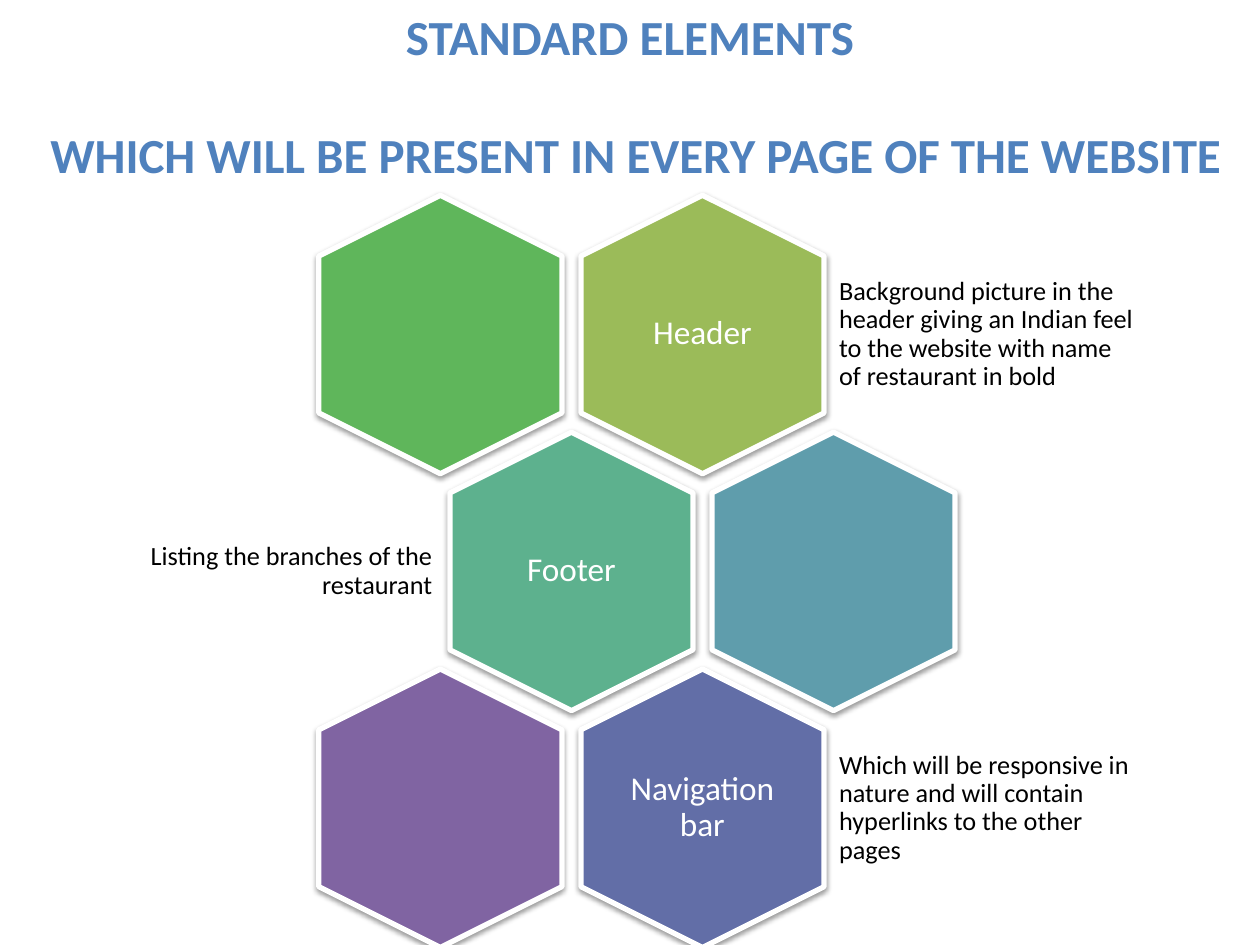
"""Build the slide on the standard elements of every website page."""
from lxml.etree import SubElement
from pptx import Presentation
from pptx.dml.color import RGBColor
from pptx.enum.shapes import MSO_SHAPE
from pptx.enum.text import MSO_ANCHOR, MSO_AUTO_SIZE, PP_ALIGN
from pptx.oxml.ns import qn
from pptx.util import Inches, Pt

COLORS = {
    "title": "4F81BD", "white": "FFFFFF", "black": "000000",
    "green": "5FB65B", "olive": "9BBB59", "teal": "5DB18E",
    "blue": "5F9DAC", "purple": "8064A2", "indigo": "626EA7",
}


def add_hexagon(x, y, color):
    s = slide.shapes.add_shape(MSO_SHAPE.HEXAGON, Inches(x), Inches(y), Inches(2.21), Inches(1.93))
    s.rotation = 90
    s.adjustments[0] = 0.25
    s.adjustments[1] = 1.1547
    s.fill.solid()
    s.fill.fore_color.rgb = RGBColor.from_string(COLORS[color])
    s.line.color.rgb = RGBColor.from_string(COLORS["white"])
    s.line.width = Pt(3)
    s.shadow.inherit = False
    effects = s._element.spPr.find(qn("a:effectLst"))
    shadow = SubElement(effects, qn("a:outerShdw"), blurRad=str(Pt(3.1)), dist=str(Pt(1.6)),
                        dir="5400000", rotWithShape="0")
    tint = SubElement(shadow, qn("a:srgbClr"), val=COLORS["black"])
    SubElement(tint, qn("a:alpha"), val="38000")


def add_text(text, x, y, w, h, inset, size, color, align):
    s = slide.shapes.add_textbox(Inches(x), Inches(y), Inches(w), Inches(h))
    tf = s.text_frame
    tf.word_wrap = True
    tf.vertical_anchor = MSO_ANCHOR.MIDDLE
    tf.margin_left = tf.margin_right = tf.margin_top = tf.margin_bottom = Inches(inset)
    p = tf.paragraphs[0]
    p.alignment = align
    p.line_spacing = 0.9
    r = p.add_run()
    r.text = text
    r.font.name = "Calibri"
    r.font.size = Pt(size)
    r.font.color.rgb = RGBColor.from_string(COLORS[color])


prs = Presentation()
prs.slide_width, prs.slide_height = Inches(10), Inches(7.5)
slide = prs.slides.add_slide(prs.slide_layouts[5])

title = slide.shapes.title
title.left, title.top, title.width, title.height = Inches(0), Inches(0), Inches(10), Inches(1.51)
tf = title.text_frame
tf.word_wrap = True
tf.auto_size = MSO_AUTO_SIZE.NONE
tf.vertical_anchor = MSO_ANCHOR.TOP
lines = ["STANDARD ELEMENTS", " WHICH WILL BE PRESENT IN EVERY PAGE OF THE WEBSITE"]
for i, line in enumerate(lines):
    p = tf.add_paragraph() if i else tf.paragraphs[0]
    p.alignment = PP_ALIGN.CENTER
    p.space_before = Pt(34 * i)
    r = p.add_run()
    r.text = line
    r.font.name = "Calibri"
    r.font.size = Pt(28)
    r.font.bold = True
    r.font.color.rgb = RGBColor.from_string(COLORS["title"])

rows = [
    ("Header", "olive", "green",
     "Background picture in the header giving an Indian feel to the website with name of restaurant in bold"),
    ("Footer", "teal", "blue", "Listing the branches of the restaurant"),
    ("Navigation bar", "indigo", "purple",
     "Which will be responsive in nature and will contain hyperlinks to the other pages"),
]
STEP_X, STEP_Y = 2.08, 1.88
for i, (label, color, accent, note) in enumerate(rows):
    y = 1.69 + i * STEP_Y
    note_left = i % 2 == 1
    x = 4.47 - STEP_X / 2 if note_left else 4.47
    add_hexagon(x, y, color)
    add_hexagon(x + STEP_X if note_left else x - STEP_X, y, accent)
    add_text(label, x + 0.44, y + 0.2, 1.33, 1.52, 0.08, 19, "white", PP_ALIGN.CENTER)
    note_x, note_w, align = (1.1, 2.39, PP_ALIGN.RIGHT) if note_left else (6.6, 2.47, PP_ALIGN.LEFT)
    add_text(note, note_x, y + 0.3, note_w, 1.33, 0.06, 15, "black", align)

prs.save("out.pptx")
